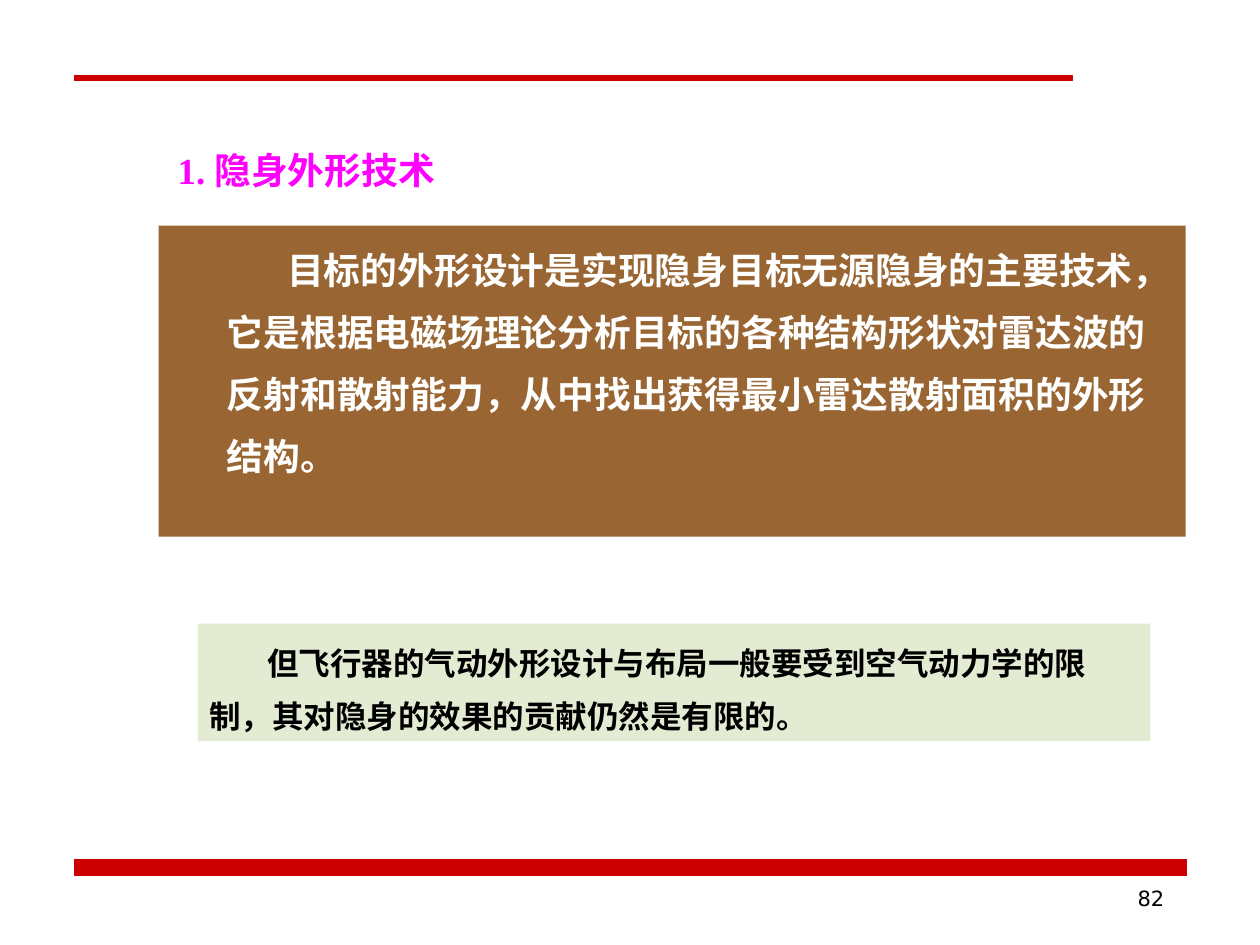
from pptx import Presentation
from pptx.dml.color import RGBColor
from pptx.enum.shapes import MSO_SHAPE
from pptx.enum.text import MSO_ANCHOR, MSO_AUTO_SIZE, PP_ALIGN
from pptx.util import Inches, Pt

COLORS = {
    "bar": "CC0000",
    "heading": "FF00FF",
    "main_panel": "996633",
    "note_panel": "E3EBD3",
    "light_text": "FFFFFF",
    "dark_text": "000000",
}
SERIF = "Times New Roman"
TITLE_ONLY = 5


def color(name):
    """Return the named colour."""
    return RGBColor.from_string(COLORS[name])


def lengths(box):
    """Turn a box given in inches into lengths."""
    return [Inches(value) for value in box]


def set_text(shape, text, size, color_name, font=SERIF, bold=True,
             align=PP_ALIGN.LEFT, wrap=True, margins=(0.09, 0.04, 0.09, 0.04)):
    """Write one formatted paragraph at the top of a shape and return it."""
    frame = shape.text_frame
    frame.text = text
    frame.word_wrap = wrap
    frame.auto_size = MSO_AUTO_SIZE.NONE
    frame.vertical_anchor = MSO_ANCHOR.TOP
    (frame.margin_left, frame.margin_top,
     frame.margin_right, frame.margin_bottom) = lengths(margins)
    para = frame.paragraphs[0]
    para.alignment = align
    for span in para.runs:
        span.font.name = font
        span.font.size = Pt(size)
        span.font.bold = bold
        span.font.color.rgb = color(color_name)
    return para


def add_block(page, box, fill):
    """Add a plain filled rectangle."""
    block = page.shapes.add_shape(MSO_SHAPE.RECTANGLE, *lengths(box))
    block.shadow.inherit = False
    block.fill.solid()
    block.fill.fore_color.rgb = color(fill)
    block.line.fill.background()
    return block


def add_bar(page, box, line_width):
    """Add a red bar with an outline of the same colour."""
    bar = add_block(page, box, "bar")
    bar.line.color.rgb = color("bar")
    bar.line.width = Pt(line_width)


def add_panel(page, box, fill, text, size, text_color, left, first_line,
              right_margin=0.09):
    """Add a coloured panel holding one indented paragraph."""
    para = set_text(add_block(page, box, fill), text, size, text_color,
                    margins=(0.09, 0.04, right_margin, 0.04))
    para.line_spacing = 1.4
    properties = para._p.get_or_add_pPr()
    properties.set("marL", str(Inches(left)))
    properties.set("indent", str(Inches(first_line)))


def place_title(page, box, text):
    """Move and format the title placeholder."""
    title = page.shapes.title
    title.left, title.top, title.width, title.height = lengths(box)
    set_text(title, text, 21, "heading", wrap=False)


def add_page_number(page, box, number):
    """Add the page number, aligned right."""
    label = page.shapes.add_textbox(*lengths(box))
    set_text(label, number, 12, "dark_text", font="DejaVu Sans", bold=False,
             align=PP_ALIGN.RIGHT, margins=(0.1, 0.05, 0.1, 0.05))


def main():
    """Build the slide and save the deck."""
    deck = Presentation()
    deck.slide_width, deck.slide_height = Inches(10), Inches(7.5)
    page = deck.slides.add_slide(deck.slide_layouts[TITLE_ONLY])

    add_bar(page, (0.59, 6.82, 8.83, 0.13), 0.75)
    add_bar(page, (0.59, 0.6, 7.92, 0.04), 0.5)
    place_title(page, (1.32, 1.13, 2.6, 0.44), "1. 隐身外形技术")
    add_panel(
        page, (1.26, 1.79, 8.15, 2.47), "main_panel",
        "目标的外形设计是实现隐身目标无源隐身的主要技术，"
        "它是根据电磁场理论分析目标的各种结构形状对雷达波的反射和散射能力，"
        "从中找出获得最小雷达散射面积的外形结构。",
        21, "light_text", left=0.45, first_line=0.48)
    add_panel(
        page, (1.57, 4.95, 7.56, 0.93), "note_panel",
        "但飞行器的气动外形设计与布局一般要受到空气动力学的限制，"
        "其对隐身的效果的贡献仍然是有限的。",
        18, "dark_text", left=0, first_line=0.46, right_margin=0.39)
    add_page_number(page, (7.17, 6.98, 2.17, 0.52), "82")
    deck.save("out.pptx")


if __name__ == "__main__":
    main()
